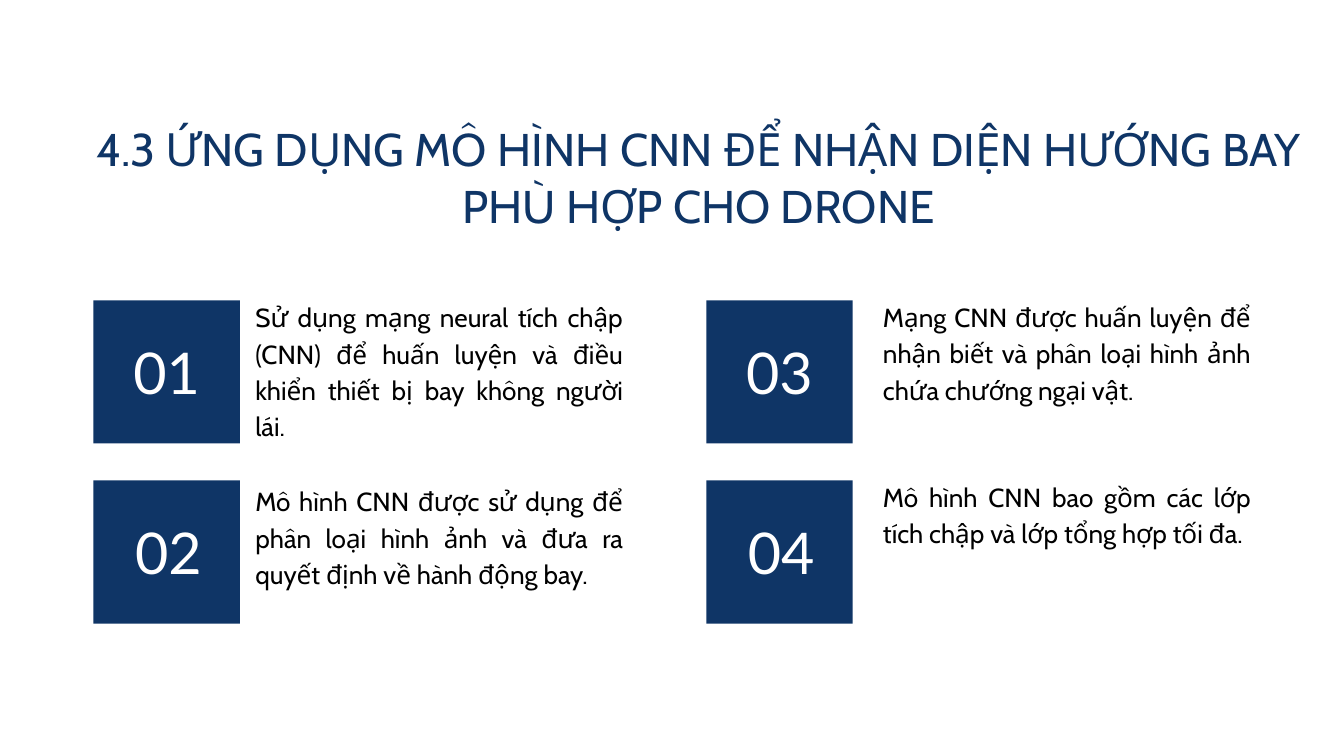
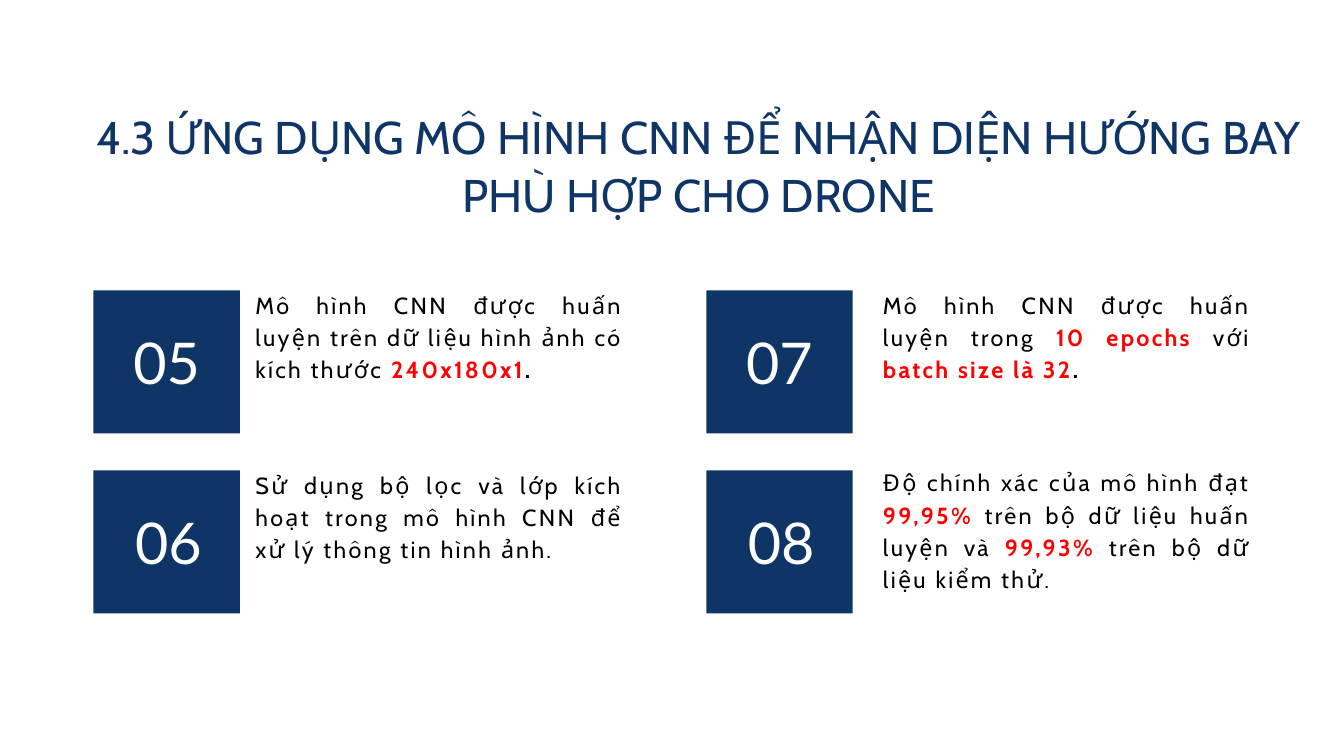
from dataclasses import dataclass

from pptx import Presentation
from pptx.dml.color import RGBColor
from pptx.enum.shapes import MSO_SHAPE
from pptx.enum.text import MSO_AUTO_SIZE, PP_ALIGN
from pptx.util import Inches, Pt

RECT = MSO_SHAPE.RECTANGLE
CENTER, JUSTIFY = PP_ALIGN.CENTER, PP_ALIGN.JUSTIFY
GROW = MSO_AUTO_SIZE.SHAPE_TO_FIT_TEXT


@dataclass(frozen=True)
class TextStyle:
    font: str
    size: float
    leading: float
    color: RGBColor
    align: PP_ALIGN
    tracking: float = 0


class Theme:
    navy = RGBColor(0x0F, 0x35, 0x66)
    white = RGBColor(0xFF, 0xFF, 0xFF)
    black = RGBColor(0x00, 0x00, 0x00)
    red = RGBColor(0xFF, 0x00, 0x00)
    title = TextStyle("Cabin", 49.1, 61.3, navy, CENTER)
    number = TextStyle("Lato", 61.6, 61.6, white, CENTER)
    body = TextStyle("Cabin", 28, 38.7, black, JUSTIFY)
    spaced_body = TextStyle("Cabin", 25, 34.5, black, JUSTIFY, 2.5)


# Shared layout, in inches
TITLE = "4.3 ỨNG DỤNG MÔ HÌNH CNN ĐỂ NHẬN DIỆN HƯỚNG BAY PHÙ HỢP CHO DRONE"
TILE_W, TILE_H = 2.18, 2.13
GRID_LEFT, COL_STEP, ROW_STEP = 1.39, 9.12, 2.68
BODY_DX = (2.41, 2.63)                    # per column
BODY_W = 5.47
NUMBER_BOX = ((0.2, 1.78), (0.05, 2.13))  # offset and width, per row
NUMBER_DY, NUMBER_H = 0.72, 0.91


def key(text):
    """A highlighted run: bold and red."""
    return text, True, Theme.red


def strong(text):
    return text, True, Theme.black


def add_text(s, box, runs, style):
    """Place one paragraph; a run is a string or (text, bold, colour)."""
    tf = s.shapes.add_textbox(*map(Inches, box)).text_frame
    tf.word_wrap = True
    tf.auto_size = GROW
    tf.margin_left = tf.margin_right = tf.margin_top = tf.margin_bottom = 0
    p = tf.paragraphs[0]
    p.alignment = style.align
    p.line_spacing = Pt(style.leading)
    p.font.name = style.font
    p.font.size = Pt(style.size)
    p.font.color.rgb = style.color
    for run in runs:
        r = p.add_run()
        if isinstance(run, str):
            r.text = run
        else:
            r.text, r.font.bold, r.font.color.rgb = run
        if style.tracking:
            r._r.get_or_add_rPr().set("spc", str(round(style.tracking * 100)))


def add_item(s, left, top, col, row, number, body, style):
    """Numbered tile with its text to the right."""
    tile = s.shapes.add_shape(RECT, *map(Inches, (left, top, TILE_W, TILE_H)))
    tile.shadow.inherit = False
    tile.fill.solid()
    tile.fill.fore_color.rgb = Theme.navy
    tile.line.fill.background()

    dx, width = NUMBER_BOX[row]
    add_text(s, (left + dx, top + NUMBER_DY, width, NUMBER_H),
             [f"{number:02d}"], Theme.number)

    dy, lines, runs = body
    height = lines * style.leading / 72
    add_text(s, (left + BODY_DX[col], top + dy, BODY_W, height), runs, style)


def add_grid_slide(prs, title_top, grid_top, first, style, bodies):
    """Title over a two-by-two grid, numbered down each column."""
    s = prs.slides.add_slide(prs.slide_layouts[6])
    add_text(s, (1.12, title_top, 18.55, 1.67), [TITLE], Theme.title)
    for i, body in enumerate(bodies):
        col, row = divmod(i, 2)
        add_item(s, GRID_LEFT + col * COL_STEP, grid_top + row * ROW_STEP,
                 col, row, first + i, body, style)


# Each text: offset from the tile top, number of lines, runs
USAGE = [
    (-0.05, 4, ["Sử dụng mạng neural tích chập (CNN) để huấn luyện và điều "
                "khiển thiết bị bay không người lái."]),
    (0.01, 3, ["Mô hình CNN được sử dụng để phân loại hình ảnh và đưa ra "
               "quyết định về hành động bay."]),
    (-0.05, 3, ["Mạng CNN được huấn luyện để nhận biết và phân loại hình ảnh "
                "chứa chướng ngại vật."]),
    (-0.06, 3, ["Mô hình CNN bao gồm các lớp tích chập và lớp tổng hợp "
                "tối đa."]),
]
TRAINING = [
    (-0.05, 3, ["Mô hình CNN được huấn luyện trên dữ liệu hình ảnh có "
                "kích thước ", key("240x180x1"), strong(".")]),
    (-0.05, 4, ["Sử dụng bộ lọc và lớp kích hoạt trong mô hình CNN để "
                "xử lý thông tin hình ảnh."]),
    (-0.05, 3, ["Mô hình CNN được huấn luyện trong ", key("10 epochs "),
                "với ", key("batch size là 32"), strong(".")]),
    (-0.09, 5, ["Độ chính xác của mô hình đạt ", key("99,95% "),
                "trên bộ dữ liệu huấn luyện và ", key("99,93% "),
                "trên bộ dữ liệu kiểm thử."]),
]


def main():
    prs = Presentation()
    prs.slide_width, prs.slide_height = Inches(20), Inches(11.25)
    add_grid_slide(prs, 1.76, 4.47, 1, Theme.body, USAGE)
    add_grid_slide(prs, 1.59, 4.32, 5, Theme.spaced_body, TRAINING)
    prs.save("out.pptx")


if __name__ == "__main__":
    main()
